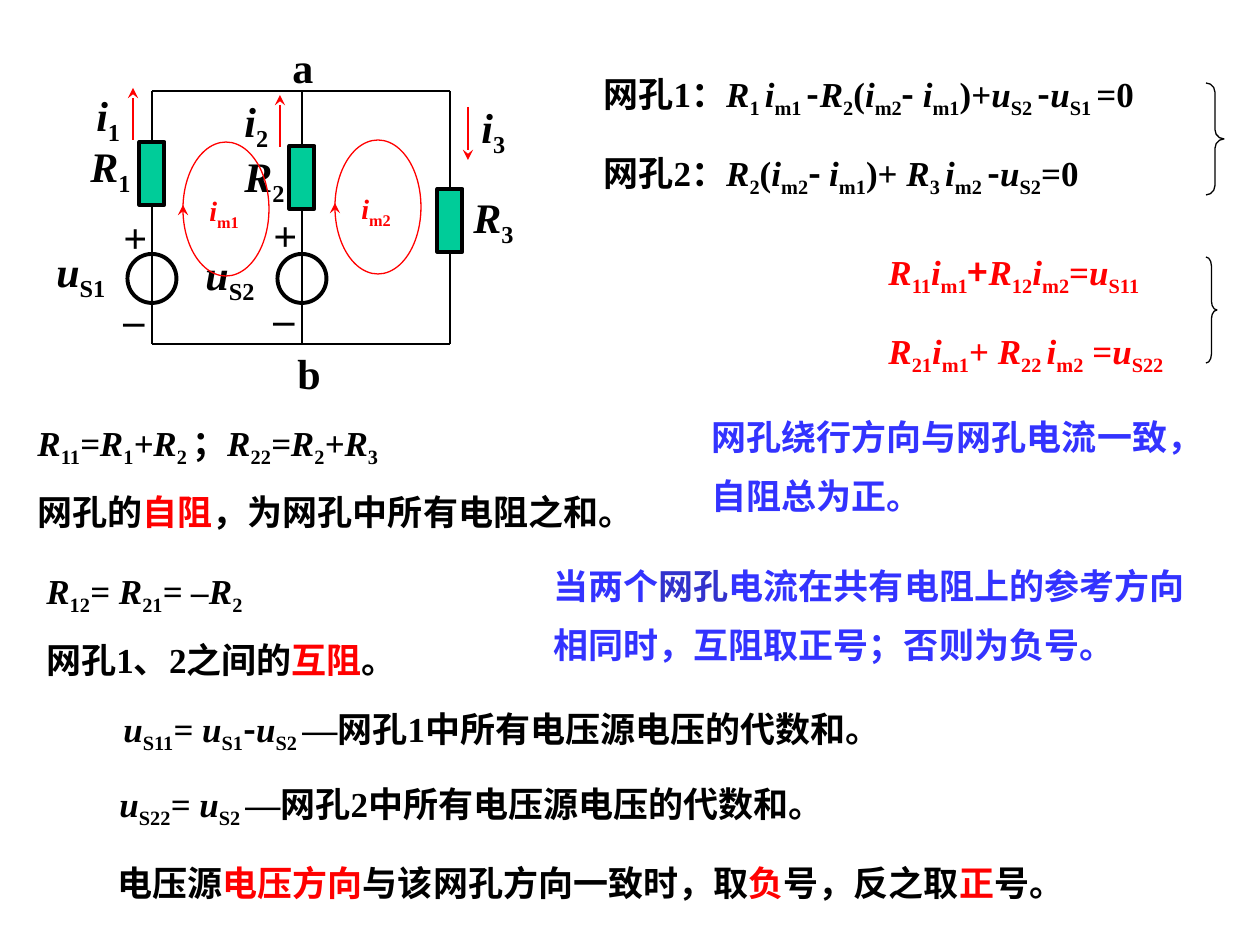
from pptx import Presentation, util as u
from pptx.dml.color import RGBColor
from pptx.enum import shapes, text
from pptx.oxml.ns import qn
from lxml import etree

PX = 914400 / 126
LATIN, CJK = "Times New Roman", "Noto Sans CJK SC"
COLORS = {"black": "000000", "red": "FF0000", "blue": "3333FF",
          "indigo": "3333CC", "green": "00CC99"}

# Inline marks switch a format on and off:
# * italic, _ subscript, ~ red, # indigo, ` CJK typeface
MARKS = "*_~#`"

# Notes and equations: left, top, width, height, paragraphs, format
NOTES = [
    (699, 393, 536, 131, ["网孔绕行方向与网孔电流一致，自阻总为正。"],
     dict(color="blue", leading=1.4)),
    (25, 415, 665, 125, ["*R*_11_*=R*_1_*+R*_2 _；*R*_22_*=R*_2_*+R*_3_",
                         "网孔的~自阻~，为网孔中所有电阻之和。"], {}),
    (34, 563, 417, 125, ["*R*_12_*= R*_21_*= –R*_2_",
                         "网孔1、2之间的~互阻~。"], {}),
    (541, 542, 674, 131,
     ["当两个#网孔#电流在共有电阻上的参考方向相同时，互阻取正号；否则为负号。"],
     dict(color="blue", leading=1.4)),
    (111, 701, 867, 60,
     ["*u*_S11_*= u*_S1_`-`*u*_S2 _—网孔1中所有电压源电压的代数和。"], {}),
    (107, 776, 810, 60,
     ["*u*_S22_*= u*_S2 _—网孔2中所有电压源电压的代数和。"], {}),
    (105, 847, 1042, 63,
     ["电压源~电压方向~与该网孔方向一致时，取~负~号，反之取~正~号。"],
     dict(leading=1.2, align=text.PP_ALIGN.JUSTIFY)),
    (876, 244, 329, 60,
     ["*R*_11_*i*_m1_`+`*R*_12_*i*_m2_=*u*_S11_"], dict(color="red")),
    (876, 323, 349, 60,
     ["*R*_21_*i*_m1_+ *R*_22 _*i*_m2_ =*u*_S22_"], dict(color="red")),
    (591, 66, 634, 60,
     ["网孔1：*R*_1 _*i*_m1 _`-`*R*_2_(*i*_m2_`- `*i*_m1_)+*u*_S2 _`-`*u*_S1 _=0"], {}),
    (591, 145, 625, 60,
     ["网孔2：*R*_2_(*i*_m2_`- `*i*_m1_)+ *R*_3 _*i*_m2 _`-`*u*_S2_=0"], {}),
]

# Circuit labels: left, top, width, text
LABELS = [
    (84, 83, 62, "*i*_1_"), (232, 89, 62, "*i*_2_"), (469, 95, 82, "*i*_3_"),
    (78, 134, 82, "*R*_1_"), (232, 144, 87, "*R*_2_"), (461, 185, 82, "*R*_3_"),
    (44, 239, 91, "*u*_S1_"), (193, 242, 110, "*u*_S2_"),
    (280, 35, 48, "a"), (285, 341, 48, "b"),
    (111, 205, 47, "+"), (111, 287, 49, "–"),
    (261, 203, 47, "+"), (261, 286, 49, "–"),
]

# Circuit geometry
BRANCHES = [152, 302, 450]
TOP_RAIL, BOTTOM_RAIL = 91, 344
RESISTOR_TOPS = [142, 146, 189]
RESISTOR = (25, 63)
SOURCE_TOP, SOURCE_SIZE = 254, 49
CURRENTS = [(133, 140, 88), (280, 147, 95), (468, 107, 160)]  # x, from y, to y
MESHES = [(183, 142, "*i*_m1_"), (335, 140, "*i*_m2_")]
BRACES = [(1206, 83, 18, 112), (1206, 257, 11, 106)]

deck = Presentation()
deck.slide_width, deck.slide_height = u.Inches(10), u.Inches(7.5)
page = deck.slides.add_slide(deck.slide_layouts[6])


def px(*lengths):
    return [round(length * PX) for length in lengths]


def rgb(name):
    return RGBColor.from_string(COLORS[name])


def split_marks(markup):
    """Yield (piece, set of active marks) pairs."""
    active, piece = set(), ""
    for letter in markup:
        if letter not in MARKS:
            piece += letter
            continue
        if piece:
            yield piece, set(active)
        active ^= {letter}
        piece = ""
    if piece:
        yield piece, active


def add_text(left, top, width, height, lines, size=20, color="black",
             before=0, leading=None, align=None):
    box = page.shapes.add_textbox(*px(left, top, width, height))
    frame = box.text_frame
    frame.word_wrap = True
    frame.auto_size = text.MSO_AUTO_SIZE.SHAPE_TO_FIT_TEXT
    for index, line in enumerate(lines):
        para = frame.add_paragraph() if index else frame.paragraphs[0]
        para.space_before = u.Pt(before)
        para.line_spacing = leading
        para.alignment = align
        for piece, marks in split_marks(line):
            span = para.add_run()
            span.text = piece
            font = span.font
            font.size, font.bold, font.italic = u.Pt(size), True, "*" in marks
            font.name = CJK if "`" in marks else LATIN
            font.color.rgb = rgb("red" if "~" in marks else
                                 "indigo" if "#" in marks else color)
            props = span._r.get_or_add_rPr()
            etree.SubElement(props, qn("a:ea")).set("typeface", CJK)
            if "_" in marks:
                props.set("baseline", "-25000")


def add_line(x1, y1, x2, y2, color="black", weight=1.5, arrow=False):
    line = page.shapes.add_connector(shapes.MSO_CONNECTOR.STRAIGHT, *px(x1, y1, x2, y2))
    line.line.color.rgb, line.line.width = rgb(color), u.Pt(weight)
    if arrow:
        etree.SubElement(line.line._get_or_add_ln(), qn("a:tailEnd")).set("type", "stealth")
    etree.SubElement(line._element.spPr, qn("a:effectLst"))


def add_part(kind, left, top, width, height, color="black", weight=2.25, fill=None):
    part = page.shapes.add_shape(kind, *px(left, top, width, height))
    part.shadow.inherit = False
    part.line.color.rgb, part.line.width = rgb(color), u.Pt(weight)
    if fill:
        part.fill.solid()
        part.fill.fore_color.rgb = rgb(fill)
    else:
        part.fill.background()
    return part


# Notes and equations, with the braces beside the equation pairs
for left, top, width, height, lines, style in NOTES:
    add_text(left, top, width, height, lines, before=12.5, **style)
for left, top, width, height in BRACES:
    brace = add_part(shapes.MSO_SHAPE.RIGHT_BRACE, left, top, width, height, weight=0.75)
    brace.adjustments[0] = round(height / 12 / width, 2)

# Wires
for x in BRANCHES:
    add_line(x, TOP_RAIL, x, BOTTOM_RAIL)
for y in (TOP_RAIL, BOTTOM_RAIL):
    add_line(BRANCHES[0], y, BRANCHES[-1], y)

# Resistors on every branch, voltage sources on the first two
for x, top in zip(BRANCHES, RESISTOR_TOPS):
    add_part(shapes.MSO_SHAPE.RECTANGLE, x - RESISTOR[0] / 2, top, *RESISTOR, fill="green")
for x in BRANCHES[:2]:
    add_part(shapes.MSO_SHAPE.OVAL, x - SOURCE_SIZE / 2, SOURCE_TOP, SOURCE_SIZE, SOURCE_SIZE)

# Labels and branch currents
for left, top, width, label in LABELS:
    add_text(left, top, width, 71 if "_" in label else 63, [label], size=24)
for x, start, end in CURRENTS:
    add_line(x, start, x, end, color="red", weight=0.75, arrow=True)

# Mesh currents
for left, top, label in MESHES:
    add_part(shapes.MSO_SHAPE.OVAL, left, top, 86, 134, color="red", weight=0.75)
    add_text(left + 14, top + 45, 62, 52, [label], size=16, color="red", before=10)
    add_line(left, top + 70, left, top + 63, color="red", weight=0.75, arrow=True)

deck.save("out.pptx")
